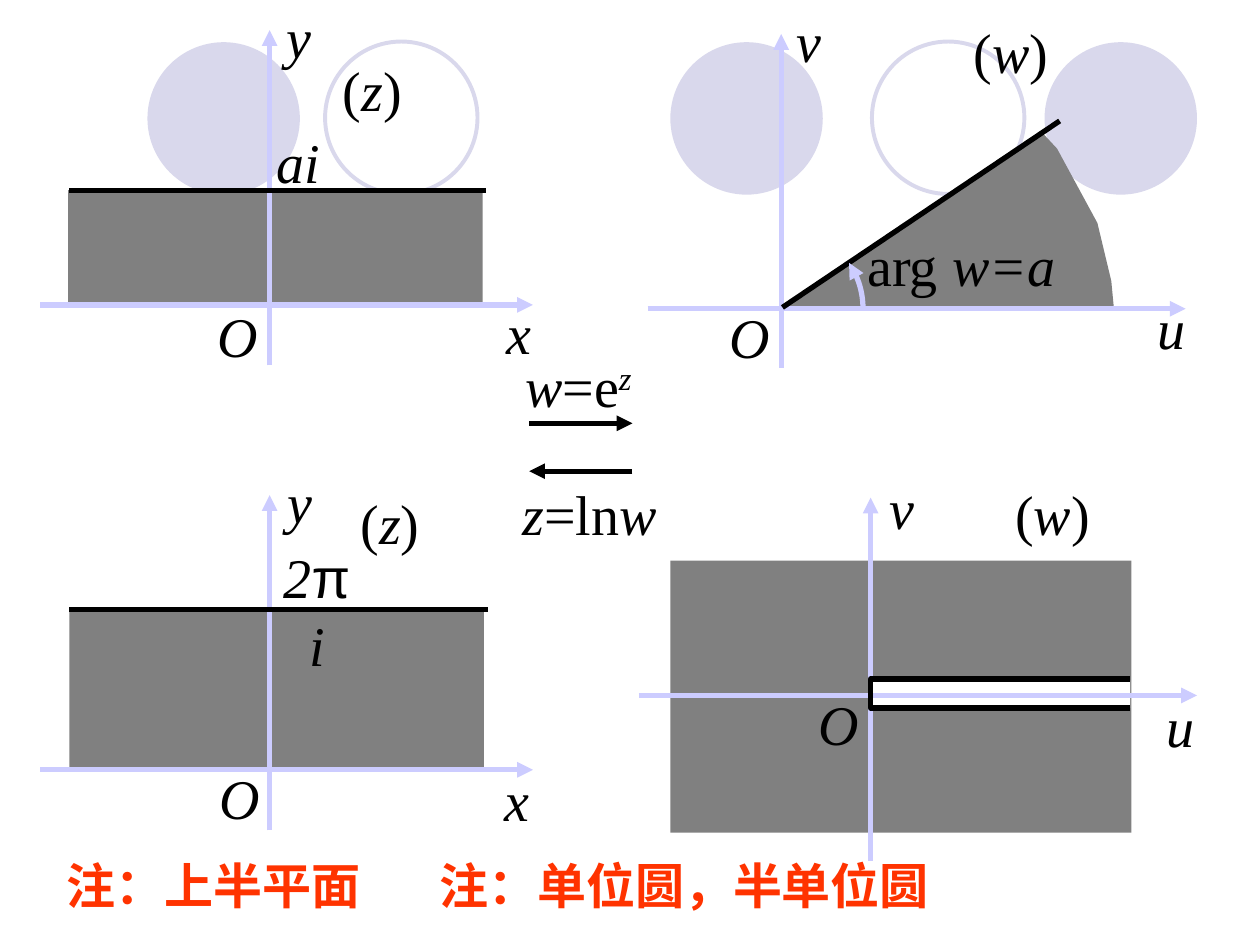
from dataclasses import dataclass
from math import cos, radians, sin
from typing import Sequence

from pptx import Presentation
from pptx.dml.color import RGBColor
from pptx.enum.shapes import MSO_CONNECTOR as Conn, MSO_SHAPE as Shp
from pptx.enum.text import MSO_AUTO_SIZE as Auto, PP_ALIGN as Align
from pptx.oxml.ns import qn
from pptx.util import Emu, Inches, Pt
from lxml.etree import SubElement

SLIDE_W, SLIDE_H = Inches(10), Inches(7.5)
COL, ROW = SLIDE_W / 100, SLIDE_H / 75
BLACK = RGBColor(0x00, 0x00, 0x00)
WHITE = RGBColor(0xFF, 0xFF, 0xFF)
GRAY = RGBColor(0x80, 0x80, 0x80)
AXIS = RGBColor(0xCC, 0xCC, 0xFF)
PALE = RGBColor(0xD9, 0xD8, 0xEC)
RED = RGBColor(0xFF, 0x33, 0x00)
SERIF, SANS = "Times New Roman", "Arial"
DISC = 12.1
SLACK = 0.2

Point = tuple[float, float]


@dataclass(frozen=True)
class Block:
    x: float
    y: float
    w: float
    h: float
    fill: RGBColor | None = GRAY
    line: RGBColor | None = None
    kind: Shp = Shp.RECTANGLE


@dataclass(frozen=True)
class Stroke:
    start: Point
    end: Point
    color: RGBColor = BLACK
    arrow: bool = True


@dataclass(frozen=True)
class Axes:
    ox: float
    oy: float
    left: float
    right: float
    top: float
    bottom: float


@dataclass(frozen=True)
class Run:
    text: str
    italic: bool = True
    name: str = SERIF
    bold: bool = False
    size: Pt = Pt(32)
    color: RGBColor = BLACK
    raised: bool = False


@dataclass(frozen=True)
class Label:
    x: float
    y: float
    w: float
    runs: Sequence[Run]
    h: float = 6.4
    wrap: bool = False
    align: Align = Align.CENTER


def emu(x: float, y: float) -> tuple[Emu, Emu]:
    return Emu(round(x * COL)), Emu(round(y * ROW))


def upright(text: str) -> Run:
    return Run(text, italic=False)


def plane(name: str) -> list[Run]:
    return [upright("("), Run(name), upright(")")]


def note(x: float, text: str) -> Label:
    run = Run(text, italic=False, bold=True, size=Pt(28), color=RED)
    return Label(x, 67.4, 50, [run], h=5.7, wrap=True, align=Align.LEFT)


def paint(s, fill: RGBColor | None, line: RGBColor | None, width: float) -> None:
    s.shadow.inherit = False
    if fill is None:
        s.fill.background()
    else:
        s.fill.solid()
        s.fill.fore_color.rgb = fill
    if line is None:
        s.line.fill.background()
    else:
        s.line.color.rgb = line
        s.line.width = Pt(width)


def add_arrowhead(s) -> None:
    SubElement(s.line._get_or_add_ln(), qn("a:tailEnd"), type="triangle")


def draw_block(sp, b: Block) -> None:
    s = sp.add_shape(b.kind, *emu(b.x, b.y), *emu(b.w, b.h))
    paint(s, b.fill, b.line, 2.25)


def draw_outline(sp, points: Sequence[Point], fill: RGBColor | None = None,
                 line: RGBColor | None = None, close: bool = False):
    first, *rest = [emu(*p) for p in points]
    fb = sp.build_freeform(*first)
    fb.add_line_segments(rest, close=close)
    s = fb.convert_to_shape()
    paint(s, fill, line, 3)
    return s


def draw_stroke(sp, k: Stroke) -> None:
    s = sp.add_connector(Conn.STRAIGHT, *emu(*k.start), *emu(*k.end))
    s.line.color.rgb = k.color
    s.line.width = Pt(3)
    if k.arrow:
        add_arrowhead(s)
    SubElement(s._element.spPr, qn("a:effectLst"))


def draw_axes(sp, a: Axes) -> None:
    draw_stroke(sp, Stroke((a.left, a.oy), (a.right, a.oy), AXIS))
    draw_stroke(sp, Stroke((a.ox, a.bottom), (a.ox, a.top), AXIS))


def draw_label(sp, t: Label) -> None:
    pad = 0 if t.wrap else SLACK
    tf = sp.add_textbox(*emu(t.x - pad, t.y), *emu(t.w + 2 * pad, t.h)).text_frame
    tf.word_wrap = t.wrap
    tf.auto_size = Auto.SHAPE_TO_FIT_TEXT
    p = tf.paragraphs[0]
    p.alignment = t.align
    for run in t.runs:
        r = p.add_run()
        r.text = run.text
        style = {"name": run.name, "size": run.size, "bold": run.bold, "italic": run.italic}
        for key, value in style.items():
            setattr(r.font, key, value)
        r.font.color.rgb = run.color
        if run.raised:
            r._r.get_or_add_rPr().set("baseline", "30000")


DISCS = [Block(x, 3.35, DISC, DISC, PALE, kind=Shp.OVAL) for x in (53.2, 82.9, 11.7)]
RINGS = [Block(x, 3.3, DISC, DISC, None, PALE, Shp.OVAL) for x in (69.2, 25.8)]
REGIONS = [
    Block(53.2, 44.5, 36.6, 21.6),
    Block(69.1, 54, 20.6, 2.2, WHITE),
    Block(5.4, 15.1, 32.9, 9.1),
    Block(5.5, 48.4, 32.9, 12.7),
]
SECTOR = [(62, 24.4), (88.4, 24.4), (88.2, 22.3), (87.1, 17.7),
          (85.2, 14.2), (83.9, 11.8), (82.6, 10.4)]
AXES = [
    Axes(21.4, 24.2, 3.2, 42.3, 2.4, 29),
    Axes(62, 24.5, 51.4, 94.1, 2.7, 29.2),
    Axes(21.4, 61.1, 3.2, 42.3, 39.3, 65.9),
    Axes(69.1, 55.2, 50.7, 95, 39.5, 68.3),
]
STROKES = [
    Stroke((5.5, 15.1), (38.6, 15.1), arrow=False),
    Stroke((5.5, 48.4), (38.7, 48.4), arrow=False),
    Stroke((62.1, 24.4), (84.1, 9.6), arrow=False),
    Stroke((42, 33.6), (50.2, 33.6)),
    Stroke((50.2, 37.4), (42, 37.4)),
]
SLOT = [(89.7, 56.2), (69.1, 56.2), (69.1, 53.9), (89.7, 53.9)]
ARC = [(62 + 6.5 * cos(radians(d)), 24.5 - 6.5 * sin(radians(d))) for d in range(0, 35, 2)]
LABELS = [
    Label(21, 9.6, 5.4, [Run("ai")]),
    Label(16.3, 23.4, 5.2, [Run("O")]),
    Label(39.2, 23.2, 4, [Run("x")]),
    Label(21.7, -0.3, 4, [Run("y")]),
    Label(26.2, 3.9, 6.7, plane("z")),
    Label(67.8, 17.8, 17, [upright("arg"), Run(" w=a")]),
    Label(90.9, 22.8, 4.2, [Run("u")]),
    Label(56.9, 23.5, 5.2, [Run("O")]),
    Label(62.2, 0, 4, [Run("v")]),
    Label(76.3, 0.9, 7.9, plane("w")),
    Label(21.2, 42.6, 7.9, [Run("2"), Run("π", italic=False, name=SANS), Run("i")], wrap=True),
    Label(16.4, 60.1, 5.2, [Run("O")]),
    Label(39, 60.3, 4, [Run("x")]),
    Label(21.8, 36.6, 4, [Run("y")]),
    Label(27.6, 38.3, 6.7, plane("z")),
    Label(64, 54.2, 5.2, [Run("O")]),
    Label(91.6, 54.4, 4.2, [Run("u")]),
    Label(69.6, 37.1, 4, [Run("v")]),
    Label(79.6, 37.6, 7.9, plane("w")),
    Label(40.7, 27.4, 10.4, [Run("w"), upright("=e"), Run("z", raised=True)]),
    Label(40.5, 37.6, 12.6, [Run("z"), upright("=ln"), Run("w")]),
    note(4.3, "注：上半平面"),
    note(33.9, "注：单位圆，半单位圆"),
]


def main() -> None:
    prs = Presentation()
    prs.slide_width, prs.slide_height = SLIDE_W, SLIDE_H
    sp = prs.slides.add_slide(prs.slide_layouts[6]).shapes
    for block in DISCS + RINGS + REGIONS:
        draw_block(sp, block)
    draw_outline(sp, SECTOR, fill=GRAY, close=True)
    for axes in AXES:
        draw_axes(sp, axes)
    for stroke in STROKES:
        draw_stroke(sp, stroke)
    draw_outline(sp, SLOT, line=BLACK)
    add_arrowhead(draw_outline(sp, ARC, line=AXIS))
    for label in LABELS:
        draw_label(sp, label)
    prs.save("out.pptx")


if __name__ == "__main__":
    main()
